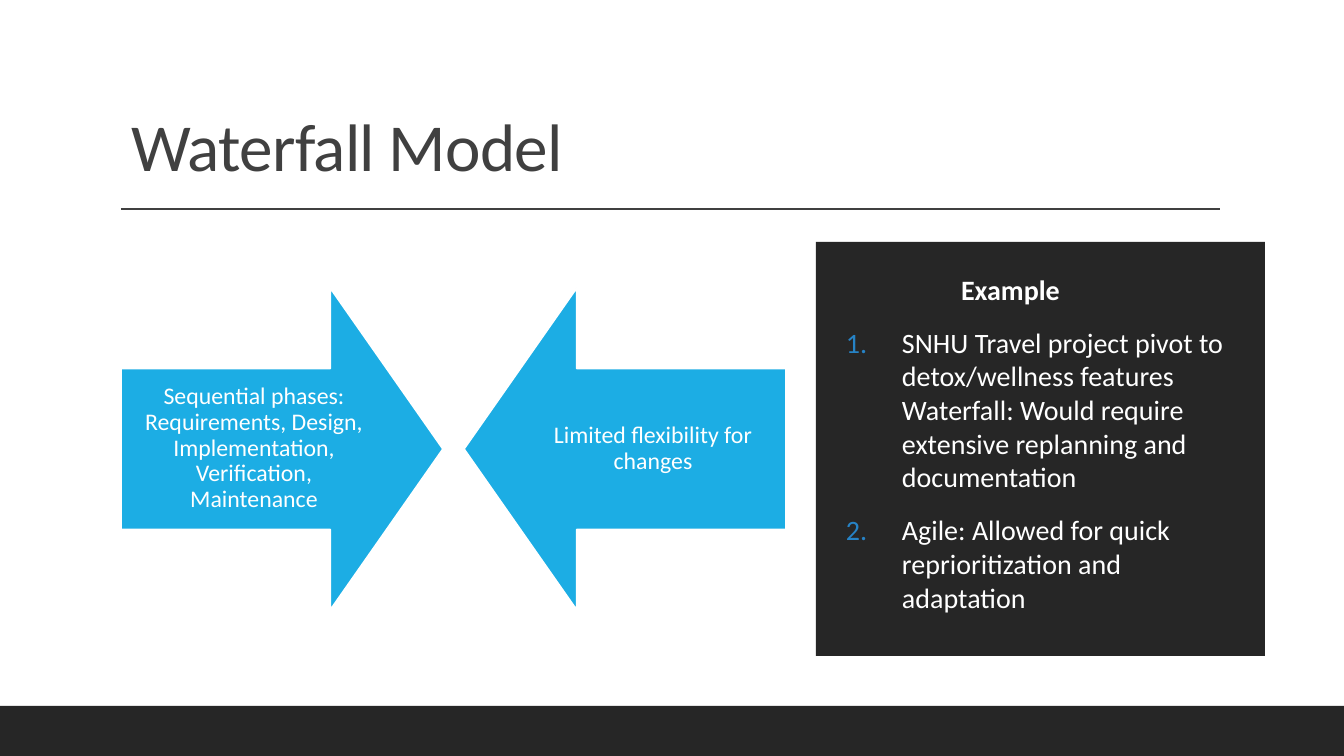
import pptx
import pptx.util
import pptx.dml.color
import pptx.enum.shapes
import pptx.enum.text
import pptx.oxml
import pptx.oxml.ns
from dataclasses import dataclass
from lxml import etree

TITLE = "Waterfall Model"
ARROWS = [  # text, left, turn, text shift from the arrow's left
    ("Sequential phases: Requirements, Design, Implementation, "
     "Verification, Maintenance", 121, 270, 0),
    ("Limited flexibility for changes", 464, 90, 56),
]
HEADING = "Example"
POINTS = [
    "SNHU Travel project pivot to detox/wellness features "
    "Waterfall: Would require extensive replanning and documentation",
    "Agile: Allowed for quick reprioritization and adaptation",
]


@dataclass(frozen=True)
class Theme:
    font: str = "Calibri"
    dark: str = "262626"
    gray: str = "404040"
    blue: str = "1CADE4"
    number: str = "2683C6"
    white: str = "FFFFFF"
    title: int = 48
    body: int = 20
    label: int = 17


THEME = Theme()
WIDE, HIGH = 1344, 756
SCALE = 12192000 / WIDE
Shape = pptx.enum.shapes.MSO_SHAPE
Align = pptx.enum.text.PP_ALIGN
Anchor = pptx.enum.text.MSO_ANCHOR
Pt = pptx.util.Pt


def px(size):
    return round(size * SCALE)


def color(code):
    return pptx.dml.color.RGBColor.from_string(code)


def fill(shape, code):
    shape.fill.solid()
    shape.fill.fore_color.rgb = color(code)


def place(shape, *box):
    shape.left, shape.top, shape.width, shape.height = map(px, box)


def style(para, size, code, bold=False):
    font = para.font
    font.name, font.size, font.bold = THEME.font, Pt(size), bold
    font.color.rgb = color(code)


def frame(shape, anchor, pad=None):
    text = shape.text_frame
    text.word_wrap = True
    text.auto_size = pptx.enum.text.MSO_AUTO_SIZE.NONE
    text.vertical_anchor = anchor
    if pad is not None:
        text.margin_left = text.margin_right = px(pad)
        text.margin_top = text.margin_bottom = px(pad)
    return text


def add(parent, tag, **attrs):
    node = etree.SubElement(parent, pptx.oxml.ns.qn(tag))
    for key, value in attrs.items():
        node.set(key, str(value))
    return node


def indent(para, left, first, numbered):
    """Set the indents in px, with or without an automatic number."""
    props = para._p.get_or_add_pPr()
    props.set("marL", str(px(left)))
    props.set("indent", str(px(first)))
    if numbered:
        add(add(props, "a:buClr"), "a:srgbClr", val=THEME.number)
        add(props, "a:buFont", typeface=THEME.font)
        add(props, "a:buAutoNum", type="arabicPeriod")
    else:
        add(props, "a:buNone")


def draw_base(shapes):
    band = shapes.add_shape(Shape.RECTANGLE, 0, px(706), px(WIDE), px(50))
    band.shadow.inherit = False
    fill(band, THEME.dark)
    band.line.fill.background()
    rule = shapes.add_connector(pptx.enum.shapes.MSO_CONNECTOR.STRAIGHT,
                                px(121), px(209), px(1220), px(209))
    rule.line.color.rgb = color(THEME.gray)
    rule.line.width = Pt(1)
    add(rule._element.spPr, "a:effectLst")


def draw_title(shape):
    place(shape, 121, 31, 1099, 160)
    para = frame(shape, Anchor.BOTTOM).paragraphs[0]
    run = para.add_run()
    run.text = TITLE
    run.font._element.set("spc", "-50")
    para.alignment, para.line_spacing = Align.LEFT, 0.9
    style(para, THEME.title, THEME.gray)


def draw_arrow(shapes, words, left, turn, shift):
    top, side = 288, 322
    arrow = shapes.add_shape(Shape.DOWN_ARROW, px(left), px(top),
                             px(side), px(side))
    arrow.rotation = turn
    arrow.adjustments[0], arrow.adjustments[1] = 0.5, 0.35
    arrow.shadow.inherit = False
    fill(arrow, THEME.blue)
    arrow.line.color.rgb = color(THEME.white)
    arrow.line.width = Pt(1.25)

    box = shapes.add_textbox(px(left + shift), px(top + side // 4),
                             px(side - 56), px(side // 2))
    para = frame(box, Anchor.MIDDLE, 13).paragraphs[0]
    para.text = words
    para.alignment, para.line_spacing = Align.CENTER, 0.9
    style(para, THEME.label, THEME.white)


def draw_panel(shape):
    place(shape, 816, 242, 449, 414)
    fill(shape, THEME.dark)
    text = frame(shape, Anchor.TOP, 30)
    for row, words in enumerate([HEADING, *POINTS]):
        para = text.paragraphs[0] if row == 0 else text.add_paragraph()
        para.text = words
        if row == 0:
            indent(para, 115, 0, False)
        else:
            indent(para, 56, -56, True)
        para.alignment = Align.LEFT
        para.space_before = Pt(12 if row else 0)
        para.space_after = Pt(2)
        style(para, THEME.body, THEME.white, row == 0)


def main():
    deck = pptx.Presentation()
    deck.slide_width, deck.slide_height = px(WIDE), px(HIGH)
    slide = deck.slides.add_slide(deck.slide_layouts[1])
    draw_base(slide.shapes)
    draw_title(slide.shapes.title)
    for arrow in ARROWS:
        draw_arrow(slide.shapes, *arrow)
    draw_panel(slide.placeholders[1])
    deck.save("out.pptx")


if __name__ == "__main__":
    main()
